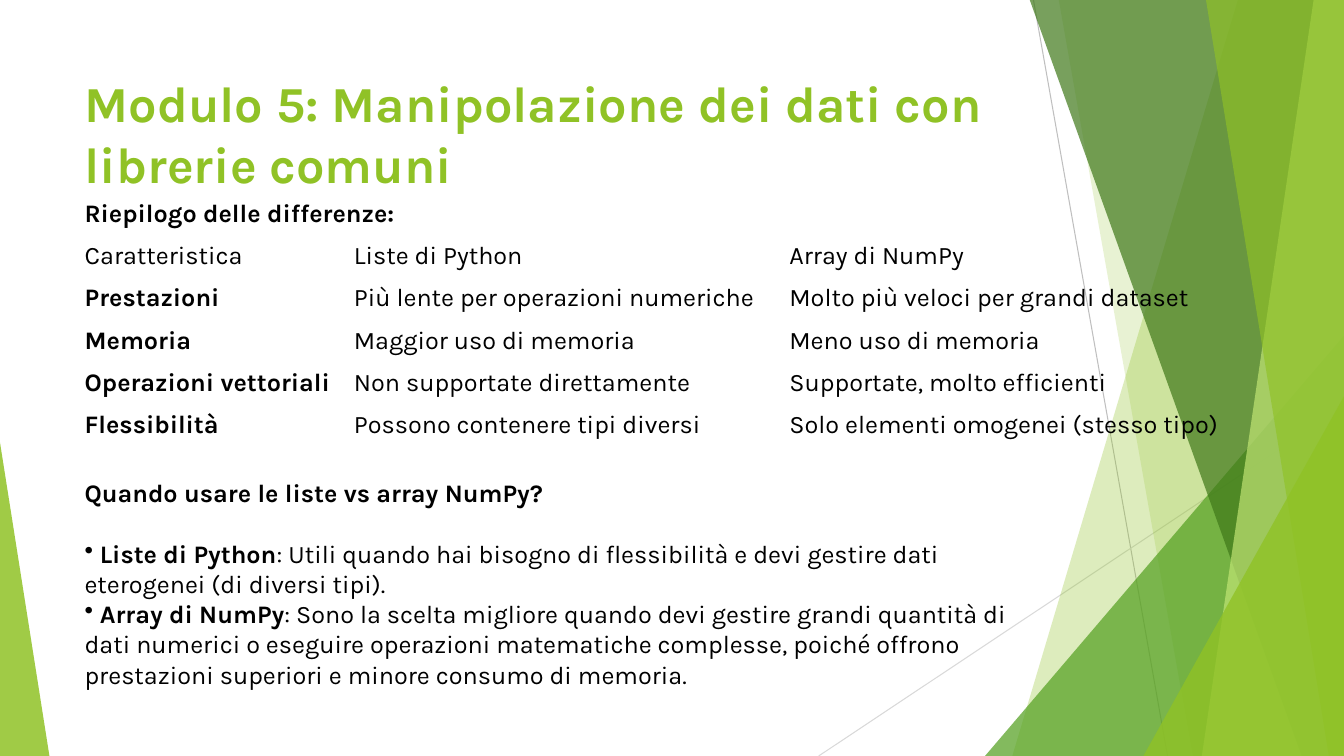
from lxml import etree
from pptx import Presentation
from pptx.dml.color import RGBColor
from pptx.enum.shapes import MSO_CONNECTOR, MSO_SHAPE
from pptx.enum.text import MSO_ANCHOR
from pptx.oxml.ns import qn
from pptx.util import Pt

STRAIGHT = MSO_CONNECTOR.STRAIGHT
TRIANGLE = MSO_SHAPE.ISOSCELES_TRIANGLE
MIDDLE = MSO_ANCHOR.MIDDLE
PX = 9144
WIDTH, HEIGHT = 1333, 750
LEFT = 74
FONT = "Karla"
NO_GRID_STYLE = "{2D5ABB26-0587-4C30-8999-92F81FD0307C}"

BLACK = RGBColor(0x00, 0x00, 0x00)
LIME = RGBColor(0x90, 0xC2, 0x26)
GREEN = RGBColor(0x54, 0xA0, 0x21)
FOREST = RGBColor(0x3F, 0x78, 0x19)
PALE_LIME = RGBColor(0xC0, 0xE4, 0x74)
GRAY = RGBColor(0xBF, 0xBF, 0xBF)
LIGHT_GRAY = RGBColor(0xD9, 0xD9, 0xD9)

deck = Presentation()
deck.slide_width, deck.slide_height = WIDTH * PX, HEIGHT * PX
page = deck.slides.add_slide(deck.slide_layouts[6])
shapes = page.shapes


def add_span(para, text, size=18, bold=False, color=BLACK):
    span = para.add_run()
    span.text = text
    span.font.name = FONT
    span.font.size = Pt(size)
    span.font.bold = bold
    span.font.color.rgb = color


def add_frame(top, width, height):
    box = shapes.add_textbox(LEFT * PX, top * PX, width * PX, height * PX)
    box.text_frame.word_wrap = True
    return box.text_frame


for start_x, start_y, end_x, color in [
    (1025, 0, 1158, GRAY),
    (WIDTH, 403, 812, LIGHT_GRAY),
]:
    line = shapes.add_connector(
        STRAIGHT, start_x * PX, start_y * PX, end_x * PX, HEIGHT * PX
    )
    line.line.color.rgb = color
    line.line.width = Pt(0.75)
    etree.SubElement(line._element.spPr, qn("a:effectLst"))

facets = [
    ("band", 1228, 1004, LIME, 30),
    ("band", 1050, 1183, LIME, 20),
    ("triangle", (977, 333, 356), 1, GREEN, 72),
    ("band", 1021, 1291, FOREST, 70),
    ("band", 1303, 1192, PALE_LIME, 70),
    ("band", 1196, 1318, LIME, 65),
    ("triangle", (1134, 393, 199), 1, LIME, 80),
    ("triangle", (0, 439, 49), 0, LIME, 85),
]
for kind, place, slant, color, opacity in facets:
    if kind == "band":
        outline = shapes.build_freeform(place, -1, scale=PX)
        outline.add_line_segments([(WIDTH, -1), (WIDTH, HEIGHT), (slant, HEIGHT)])
        facet = outline.convert_to_shape()
    else:
        left, top, width = place
        facet = shapes.add_shape(
            TRIANGLE, left * PX, top * PX, width * PX, (HEIGHT - top) * PX
        )
        facet.adjustments[0] = slant
    facet.shadow.inherit = False
    facet.line.fill.background()
    facet.fill.solid()
    facet.fill.fore_color.rgb = color
    tint = facet._element.spPr.find(qn("a:solidFill"))[0]
    etree.SubElement(tint, qn("a:alpha"), val=str(opacity * 1000))

title = add_frame(67, 940, 144)
add_span(
    title.paragraphs[0],
    "Modulo 5: Manipolazione dei dati con librerie comuni",
    size=36,
    bold=True,
    color=LIME,
)

rows = [
    ("Caratteristica", "Liste di Python", "Array di NumPy"),
    ("Prestazioni", "Più lente per operazioni numeriche", "Molto più veloci per grandi dataset"),
    ("Memoria", "Maggior uso di memoria", "Meno uso di memoria"),
    ("Operazioni vettoriali", "Non supportate direttamente", "Supportate, molto efficienti"),
    ("Flessibilità", "Possono contenere tipi diversi", "Solo elementi omogenei (stesso tipo)"),
]
column_widths = [267, 432, 463]
row_height = 42
table = shapes.add_table(
    len(rows), len(column_widths), LEFT * PX, 233 * PX,
    sum(column_widths) * PX, len(rows) * row_height * PX,
).table
table.first_row = False
table.horz_banding = False
table._tbl.tblPr.find(qn("a:tableStyleId")).text = NO_GRID_STYLE
for column, width in zip(table.columns, column_widths):
    column.width = width * PX
for row_index, row in enumerate(rows):
    for column_index, text in enumerate(row):
        cell = table.cell(row_index, column_index)
        cell.fill.background()
        cell.vertical_anchor = MIDDLE
        is_label = row_index > 0 and column_index == 0
        add_span(cell.text_frame.paragraphs[0], text, bold=is_label)

summary = add_frame(191, 420, 40)
add_span(summary.paragraphs[0], "Riepilogo delle differenze:", bold=True)

advice = add_frame(469, 960, 222)
heading = advice.paragraphs[0]
add_span(heading, "Quando usare le liste vs array NumPy?", bold=True)
heading.space_after = Pt(21.5)
for term, explanation in [
    (
        " Liste di Python",
        ": Utili quando hai bisogno di flessibilità e devi gestire dati "
        "eterogenei (di diversi tipi).",
    ),
    (
        " Array di NumPy",
        ": Sono la scelta migliore quando devi gestire grandi quantità di dati "
        "numerici o eseguire operazioni matematiche complesse, poiché offrono "
        "prestazioni superiori e minore consumo di memoria.",
    ),
]:
    para = advice.add_paragraph()
    etree.SubElement(para._p.get_or_add_pPr(), qn("a:buChar"), char="•")
    add_span(para, term, bold=True)
    add_span(para, explanation)

deck.save("out.pptx")
